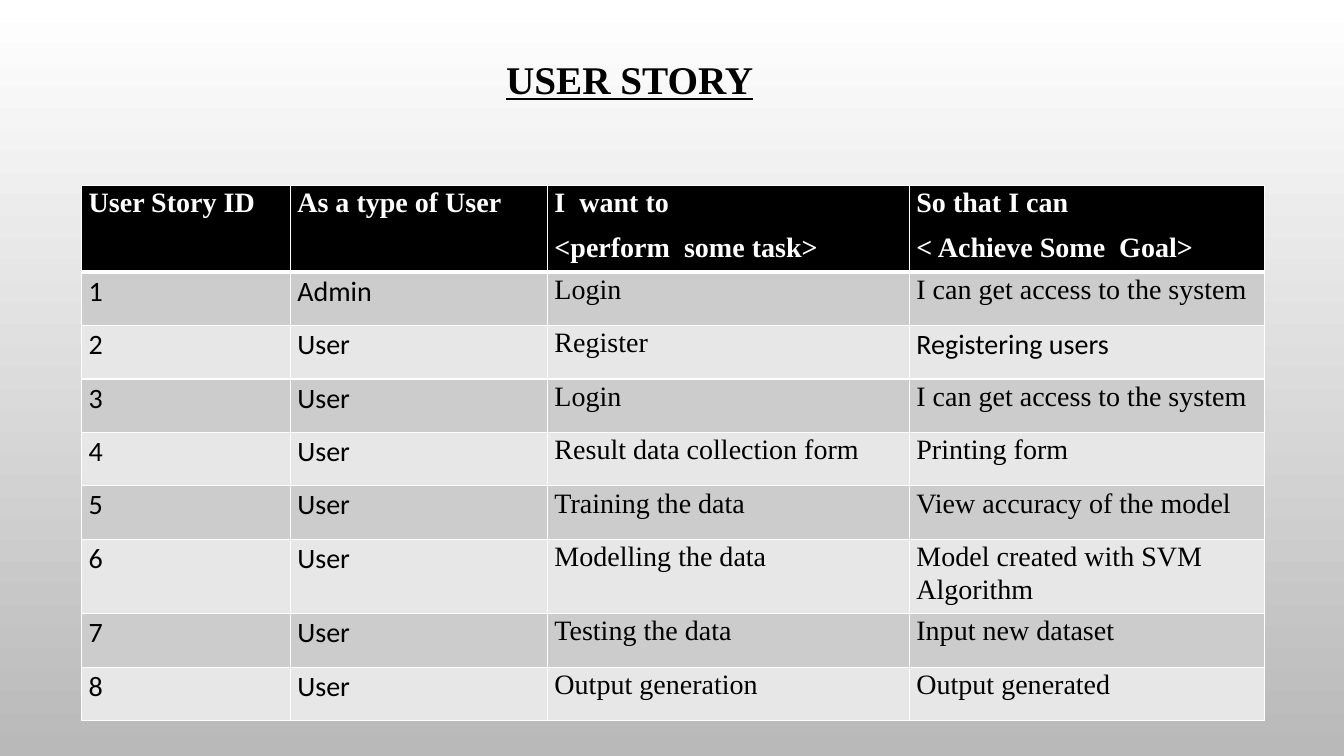
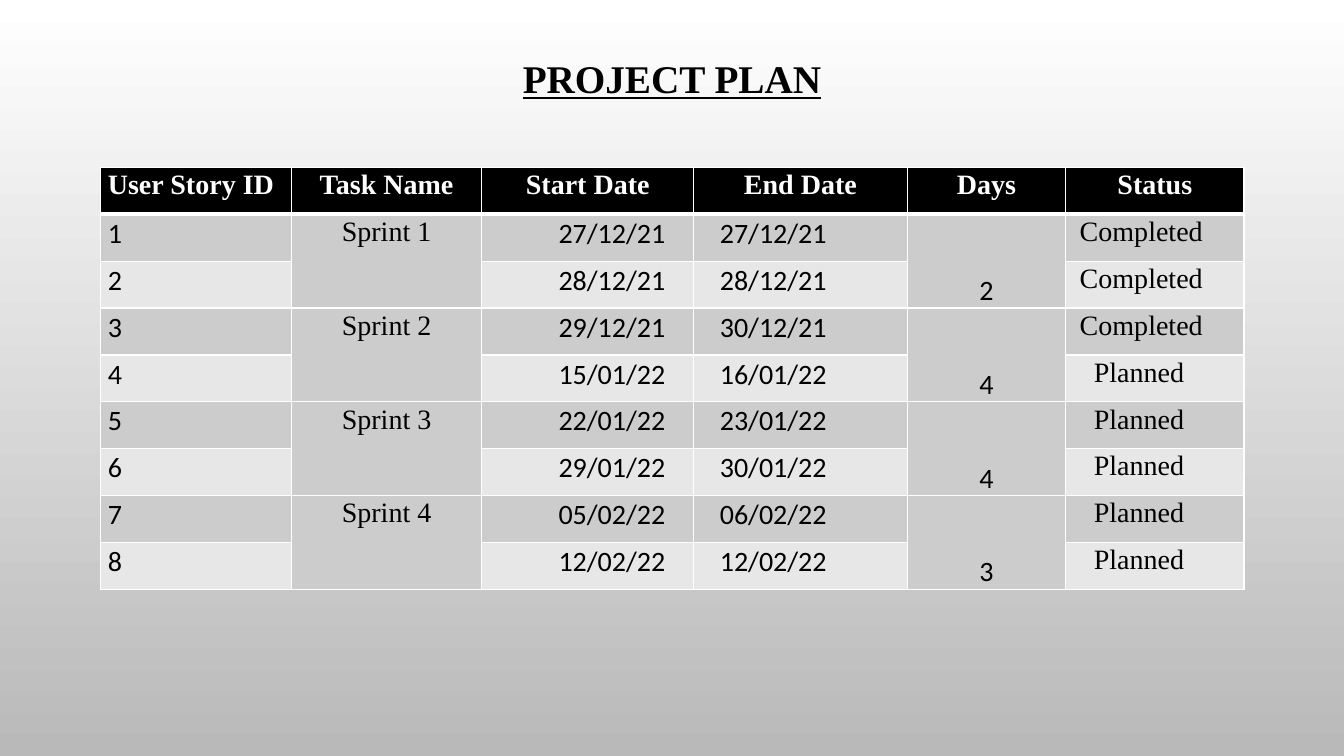
from lxml.etree import SubElement
from pptx import Presentation
from pptx.dml.color import RGBColor
from pptx.enum.text import MSO_ANCHOR, MSO_AUTO_SIZE, PP_ALIGN
from pptx.oxml.ns import qn
from pptx.util import Inches, Pt

BLACK = RGBColor(0x00, 0x00, 0x00)
WHITE = RGBColor(0xFF, 0xFF, 0xFF)
BACK_GRAY = RGBColor(0xB9, 0xB9, 0xB9)
BANDS = (RGBColor(0xE7, 0xE7, 0xE7), RGBColor(0xCC, 0xCC, 0xCC))

SERIF, SANS = "Times New Roman", "Calibri"
TITLE_FONT = {"name": SERIF, "size": Pt(28), "bold": True,
              "underline": True}
HEAD_FONT = {"name": SERIF, "size": Pt(20), "bold": True}
BODY_FONT = {"size": Pt(20), "bold": False}
CELL_FORMAT = {"margin_left": Inches(0.07), "margin_right": Inches(0.07),
               "margin_top": 0, "margin_bottom": 0}
CELL_PARAGRAPH = {"line_spacing": 1.07, "space_after": Pt(8)}

STORY_HEADS = ["User Story ID", "As a type of User",
               "I  want to\n<perform  some task>",
               "So that I can\n< Achieve Some  Goal>"]
STORIES = [
    ("Admin", "Login", "I can get access to the system"),
    ("User", "Register", "Registering users"),
    ("User", "Login", "I can get access to the system"),
    ("User", "Result data collection form", "Printing form"),
    ("User", "Training the data", "View accuracy of the model"),
    ("User", "Modelling the data", "Model created with SVM Algorithm"),
    ("User", "Testing the data", "Input new dataset"),
    ("User", "Output generation", "Output generated"),
]
PLAN_HEADS = ["User Story ID", "Task Name", "Start Date", "End Date",
              "Days", "Status"]
PLAN = [
    ("Sprint 1", "27/12/21", "27/12/21", "2", "Completed"),
    ("", "28/12/21", "28/12/21", "", "Completed"),
    ("Sprint 2", "29/12/21", "30/12/21", "4", "Completed"),
    ("", "15/01/22", "16/01/22", "", "Planned"),
    ("Sprint 3", "22/01/22", "23/01/22", "4", "Planned"),
    ("", "29/01/22", "30/01/22", "", "Planned"),
    ("Sprint 4", "05/02/22", "06/02/22", "3", "Planned"),
    ("", "12/02/22", "12/02/22", "", "Planned"),
]


def apply(target, values):
    """Set each attribute in values on target."""
    for name, value in values.items():
        setattr(target, name, value)


def set_background(master):
    """Give the master a gradient from white down to gray."""
    fill = master.background.fill
    fill.gradient()
    fill.gradient_angle = 270
    for stop, color in zip(fill.gradient_stops, (WHITE, BACK_GRAY)):
        stop.color.rgb = color


def add_titled_slide(prs, text, left, top, height):
    """Add a slide with an underlined serif title."""
    s = prs.slides.add_slide(prs.slide_layouts[5])
    title = s.shapes.title
    apply(title, {"left": Inches(left), "top": Inches(top),
                  "width": Inches(11.33), "height": Inches(height)})
    tf = title.text_frame
    apply(tf, {"text": text, "word_wrap": True,
               "auto_size": MSO_AUTO_SIZE.NONE,
               "vertical_anchor": MSO_ANCHOR.TOP,
               "margin_top": Inches(0.29)})
    p = tf.paragraphs[0]
    apply(p, {"alignment": PP_ALIGN.CENTER, "line_spacing": 0.9})
    apply(p.font, TITLE_FONT)
    p.font.color.rgb = BLACK
    return s


def set_borders(cell, bottom):
    """Draw white cell borders, with a bottom line of its own width."""
    tc_pr = cell._tc.get_or_add_tcPr()
    for side, width in zip("LRTB", (1, 1, 1, bottom)):
        ln = SubElement(tc_pr, qn(f"a:ln{side}"), w=str(Pt(width)))
        fill = SubElement(ln, qn("a:solidFill"))
        SubElement(fill, qn("a:srgbClr"), val=str(WHITE))


def format_cell(cell, text, fill, color, font, style, bottom=1):
    """Fill one cell and style its text."""
    set_borders(cell, bottom)
    cell.fill.solid()
    cell.fill.fore_color.rgb = fill
    apply(cell, CELL_FORMAT)
    cell.vertical_anchor = style.get("anchor", MSO_ANCHOR.TOP)
    cell.text = text
    for p in cell.text_frame.paragraphs:
        apply(p, CELL_PARAGRAPH)
        p.alignment = style.get("align", PP_ALIGN.LEFT)
        if "indent" in style:
            p._p.get_or_add_pPr().set("marL", str(Inches(style["indent"])))
        for r in p.runs:
            apply(r.font, font)
            r.font.color.rgb = color


def add_grid(s, left, top, widths, heights, heads, head_align, rows,
             styles, exceptions):
    """Add a banded table whose first column numbers the rows."""
    frame = s.shapes.add_table(
        len(heights), len(widths), Inches(left), Inches(top),
        Inches(sum(widths)), Inches(sum(heights)))
    table = frame.table
    for column, width in zip(table.columns, widths):
        column.width = Inches(width)
    for row, height in zip(table.rows, heights):
        row.height = Inches(height)
    for j, (text, align) in enumerate(zip(heads, head_align)):
        format_cell(table.cell(0, j), text, BLACK, WHITE, HEAD_FONT,
                    {"align": align}, bottom=3)
    for i, values in enumerate(rows, 1):
        for j, text in enumerate((str(i), *values)):
            style = {**styles[j], **exceptions.get((i, j), {})}
            font = {**BODY_FONT, "name": style["font"]}
            format_cell(table.cell(i, j), text, BANDS[i % 2], BLACK,
                        font, style)
    return table


def add_user_story(prs):
    """Build the user story slide."""
    s = add_titled_slide(prs, "USER STORY", 0.58, 0.31, 1.54)
    add_grid(s, 0.81, 1.84, [2.07, 2.55, 3.59, 3.52],
             [0.86] + [0.53] * 5 + [0.74] + [0.53] * 2,
             STORY_HEADS, [PP_ALIGN.LEFT] * 4, STORIES,
             [{"font": SANS}] * 2 + [{"font": SERIF}] * 2,
             {(2, 3): {"font": SANS}})


def add_project_plan(prs):
    """Build the project plan slide, with sprints of two rows each."""
    s = add_titled_slide(prs, "PROJECT PLAN", 1, 0.3, 1.75)
    styles = [
        {"font": SANS},
        {"font": SERIF, "align": PP_ALIGN.CENTER},
        {"font": SANS, "indent": 0.69},
        {"font": SANS, "indent": 0.19},
        {"font": SANS, "align": PP_ALIGN.CENTER,
         "anchor": MSO_ANCHOR.BOTTOM},
        {"font": SERIF, "indent": 0.07},
    ]
    planned = {(i, 5): {"indent": 0.21} for i, row in enumerate(PLAN, 1)
               if row[-1] == "Planned"}
    table = add_grid(s, 1, 1.66, [1.89, 1.89, 2.1, 2.12, 1.57, 1.77],
                     [4.19 / 9] * 9, PLAN_HEADS,
                     [PP_ALIGN.LEFT] + [PP_ALIGN.CENTER] * 5, PLAN,
                     styles, planned)
    for i in range(1, len(PLAN), 2):
        for j in (1, 4):
            table.cell(i, j).merge(table.cell(i + 1, j))


def main():
    """Build and save the presentation."""
    prs = Presentation()
    apply(prs, {"slide_width": Inches(13.33), "slide_height": Inches(7.5)})
    set_background(prs.slide_master)
    add_user_story(prs)
    add_project_plan(prs)
    prs.save("out.pptx")


main()
